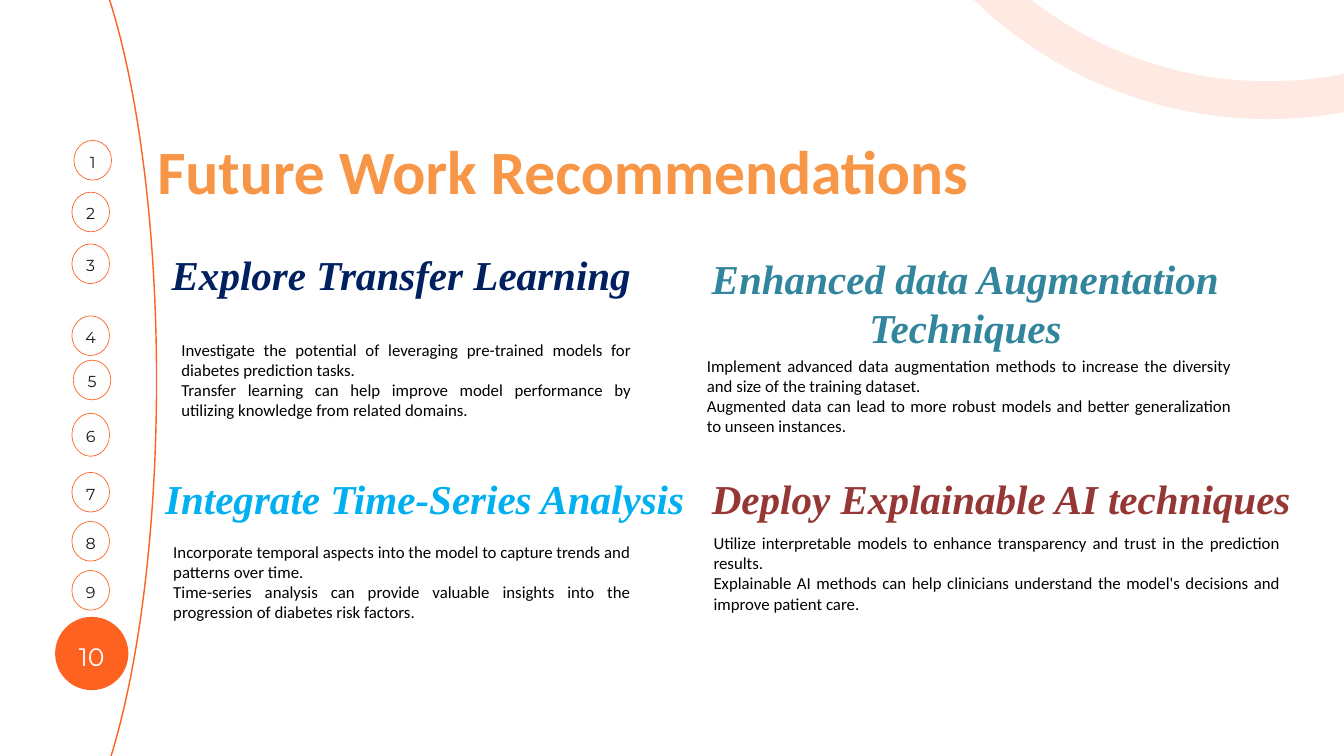
"""Build the future work slide: a numbered side rail and four recommendations."""
from pptx import Presentation
from pptx.dml.color import RGBColor as Rgb
from pptx.enum.shapes import MSO_SHAPE as Kind
from pptx.enum.text import MSO_ANCHOR as Anchor, PP_ALIGN as Align
from pptx.oxml.ns import qn
from pptx.util import Inches, Pt
from lxml.etree import SubElement

COLS, ROWS = 20, 11.25
HUES = {
    "orange": "FD6220", "title": "F79646", "white": "FFFEFE", "ink": "191919",
    "black": "000000", "navy": "002060", "teal": "31859C", "sky": "00B0F0", "red": "953735",
}
TITLE = ("Future Work Recommendations", (2.24, 0.9, 16.83, 1.95))
CARDS = [
    ("Explore Transfer Learning", "navy", (1.9, 3.66, 8.15, 0.84), (2.6, 5, 6.89, 1.31),
     ["Investigate the potential of leveraging pre-trained models for diabetes prediction tasks.",
      "Transfer learning can help improve model performance by utilizing knowledge from related domains."]),
    ("Enhanced data Augmentation Techniques", "teal", (10.25, 3.72, 8.24, 1.58), (10.42, 5.24, 8, 1.31),
     ["Implement advanced data augmentation methods to increase the diversity and size of the training dataset.",
      "Augmented data can lead to more robust models and better generalization to unseen instances."]),
    ("Integrate Time-Series Analysis", "sky", (1.57, 6.99, 9.51, 0.84), (2.48, 8.01, 7, 1.31),
     ["Incorporate temporal aspects into the model to capture trends and patterns over time.",
      "Time-series analysis can provide valuable insights into the progression of diabetes risk factors."]),
    ("Deploy Explainable AI techniques", "red", (10.42, 7, 8.97, 0.84), (10.52, 7.88, 8.63, 1.31),
     ["Utilize interpretable models to enhance transparency and trust in the prediction results.",
      "Explainable AI methods can help clinicians understand the model's decisions and improve patient care."]),
]
STEPS = [(1.1, 2.09), (1.07, 2.86), (1.07, 3.63), (1.07, 4.7), (1.09, 5.36),
         (1.07, 6.15), (1.07, 7.03), (1.07, 7.76), (1.07, 8.49)]
DOT = (0.56, 0.59)
TALL = {6: 0.64}
NOW = (0.82, 9.18, 1.09, 1.09)
ARC = (-1.5, -1.67, 3.83, 14.66)
RING = (12.86, -10.53, 12.02, 12.02)


def hue(name):
    return Rgb.from_string(HUES[name])


def grid(box):
    return [Inches(n) for n in box]


def write(shape, lines, size, color, font="Calibri", align=Align.LEFT,
          bold=False, italic=False, lead=None, anchor=Anchor.TOP, inset=None):
    frame = shape.text_frame
    frame.word_wrap = True
    frame.vertical_anchor = anchor
    if inset is not None:
        frame.margin_left = frame.margin_right = Inches(inset)
        frame.margin_top = frame.margin_bottom = Inches(inset)
    for i, line in enumerate(lines):
        para = frame.add_paragraph() if i else frame.paragraphs[0]
        para.alignment = align
        if lead:
            para.line_spacing = Pt(lead)
        run = para.add_run()
        run.text = line
        face = run.font
        face.name, face.size, face.bold, face.italic = font, Pt(size), bold, italic
        face.color.rgb = hue(color)


def oval(slide, box, fill=None, width=0):
    shape = slide.shapes.add_shape(Kind.OVAL, *grid(box))
    shape.shadow.inherit = False
    if fill:
        shape.fill.solid()
        shape.fill.fore_color.rgb = hue(fill)
    else:
        shape.fill.background()
    if width:
        shape.line.color.rgb = hue("orange")
        shape.line.width = Pt(width)
    else:
        shape.line.fill.background()
    return shape


def fade(shape, share):
    tint = next(shape.line.fill._xPr.iter(qn("a:srgbClr")))
    SubElement(tint, qn("a:alpha")).set("val", str(share * 1000))


def rail(slide):
    oval(slide, ARC, width=1.5)
    fade(oval(slide, RING, width=40.5), 12)
    look = dict(font="Montserrat", align=Align.CENTER, anchor=Anchor.MIDDLE, inset=0)
    wide, high = DOT
    for num, spot in enumerate(STEPS, 1):
        dot = oval(slide, (*spot, wide, TALL.get(num, high)), "white", 0.75)
        write(dot, [str(num)], 17, "ink", lead=23.8, **look)
    write(oval(slide, NOW, "orange"), [str(len(STEPS) + 1)], 27, "white", lead=37.8, **look)


def main():
    deck = Presentation()
    deck.slide_width, deck.slide_height = Inches(COLS), Inches(ROWS)
    slide = deck.slides.add_slide(deck.slide_layouts[5])
    text, box = TITLE
    title = slide.shapes.title
    title.left, title.top, title.width, title.height = grid(box)
    write(title, [text], 66, "title", bold=True, lead=152.7)
    rail(slide)
    for head, color, top, low, lines in CARDS:
        write(slide.shapes.add_textbox(*grid(top)), [head], 44, color,
              font="Times New Roman", align=Align.CENTER, bold=True, italic=True)
        write(slide.shapes.add_textbox(*grid(low)), lines, 18, "black", align=Align.JUSTIFY)
    deck.save("out.pptx")


if __name__ == "__main__":
    main()
